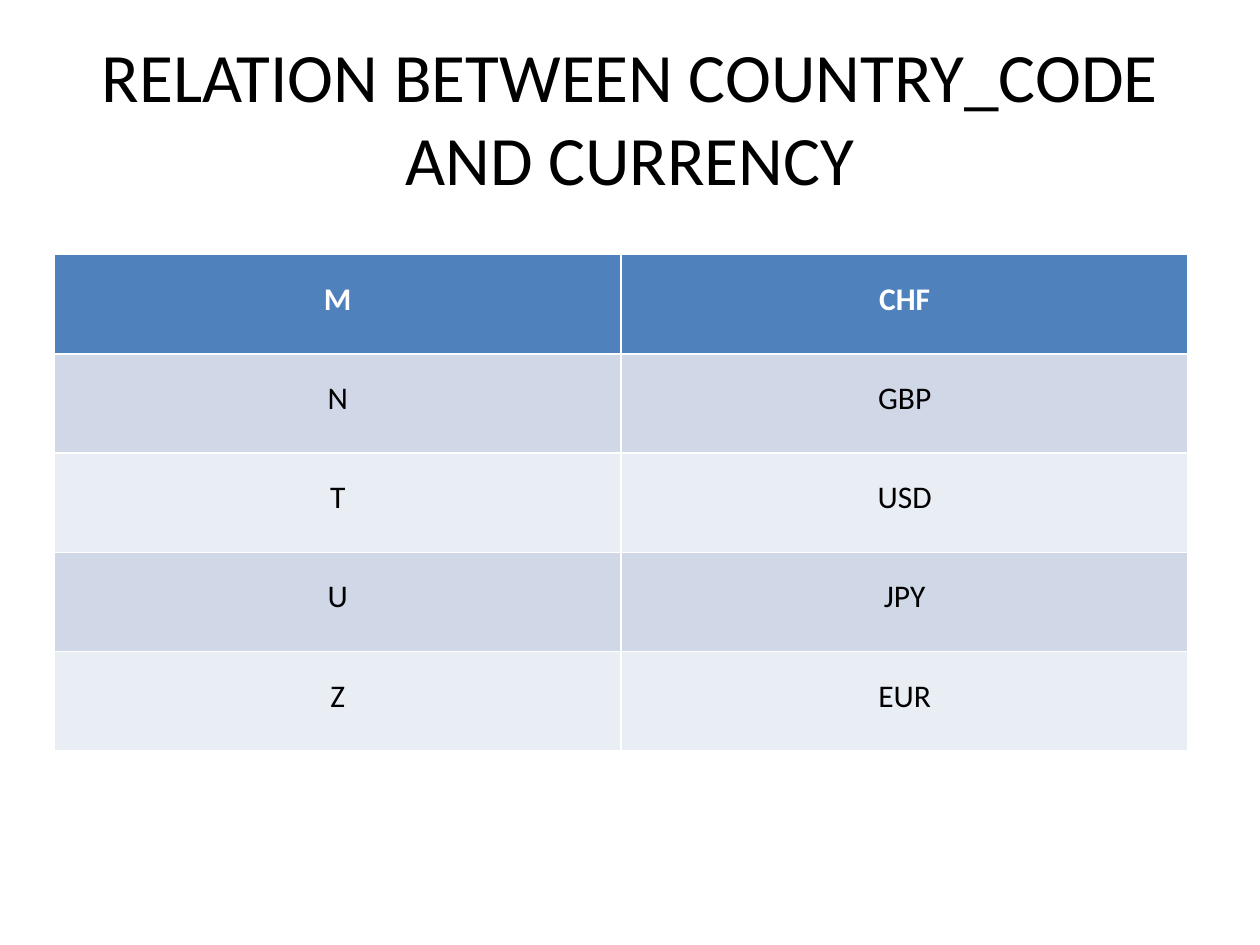
from pptx import Presentation
from pptx.dml.color import RGBColor as RGB
from pptx.enum.text import MSO_ANCHOR as Anchor, PP_ALIGN as Align
from pptx.util import Inches, Pt

TITLE = "RELATION BETWEEN COUNTRY_CODE AND CURRENCY"
ROWS = [("M", "CHF"), ("N", "GBP"), ("T", "USD"), ("U", "JPY"), ("Z", "EUR")]
HEX = {"head": "4F81BD", "odd": "D0D8E8", "even": "E9EDF4",
       "white": "FFFFFF", "black": "000000"}
TITLE_FONT = {"name": "Calibri", "size": Pt(39.6), "bold": False}
HEAD_FONT = {"name": "Calibri", "size": Pt(18), "bold": True}
BODY_FONT = {**HEAD_FONT, "bold": False}


def color(key):
    return RGB.from_string(HEX[key])


def write(frame, text, look, ink, gap=1.0):
    """Put one centred line of text in a frame."""
    para = frame.paragraphs[0]
    para.alignment = Align.CENTER
    para.line_spacing = gap
    run = para.add_run()
    run.text = text
    for name, value in look.items():
        setattr(run.font, name, value)
    run.font.color.rgb = color(ink)


def add_title(slide):
    box = slide.shapes.add_textbox(Inches(0.5), Inches(0.3), Inches(9), Inches(1.25))
    frame = box.text_frame
    frame.word_wrap = True
    frame.vertical_anchor = Anchor.MIDDLE
    write(frame, TITLE, TITLE_FONT, "black")


def add_rates(slide):
    """Add the table; its default style draws the white borders."""
    table = slide.shapes.add_table(
        len(ROWS), len(ROWS[0]),
        Inches(0.43), Inches(2.02), Inches(9), Inches(3.94)).table
    for r, row in enumerate(ROWS):
        if r == 0:
            fill, look, ink = "head", HEAD_FONT, "white"
        else:
            fill, look, ink = "odd" if r % 2 else "even", BODY_FONT, "black"
        for c, text in enumerate(row):
            cell = table.cell(r, c)
            cell.fill.solid()
            cell.fill.fore_color.rgb = color(fill)
            write(cell.text_frame, text, look, ink, 1.5)


def main():
    deck = Presentation()
    deck.slide_width, deck.slide_height = Inches(10), Inches(7.5)
    slide = deck.slides.add_slide(deck.slide_layouts[6])
    add_title(slide)
    add_rates(slide)
    deck.save("out.pptx")


if __name__ == "__main__":
    main()
